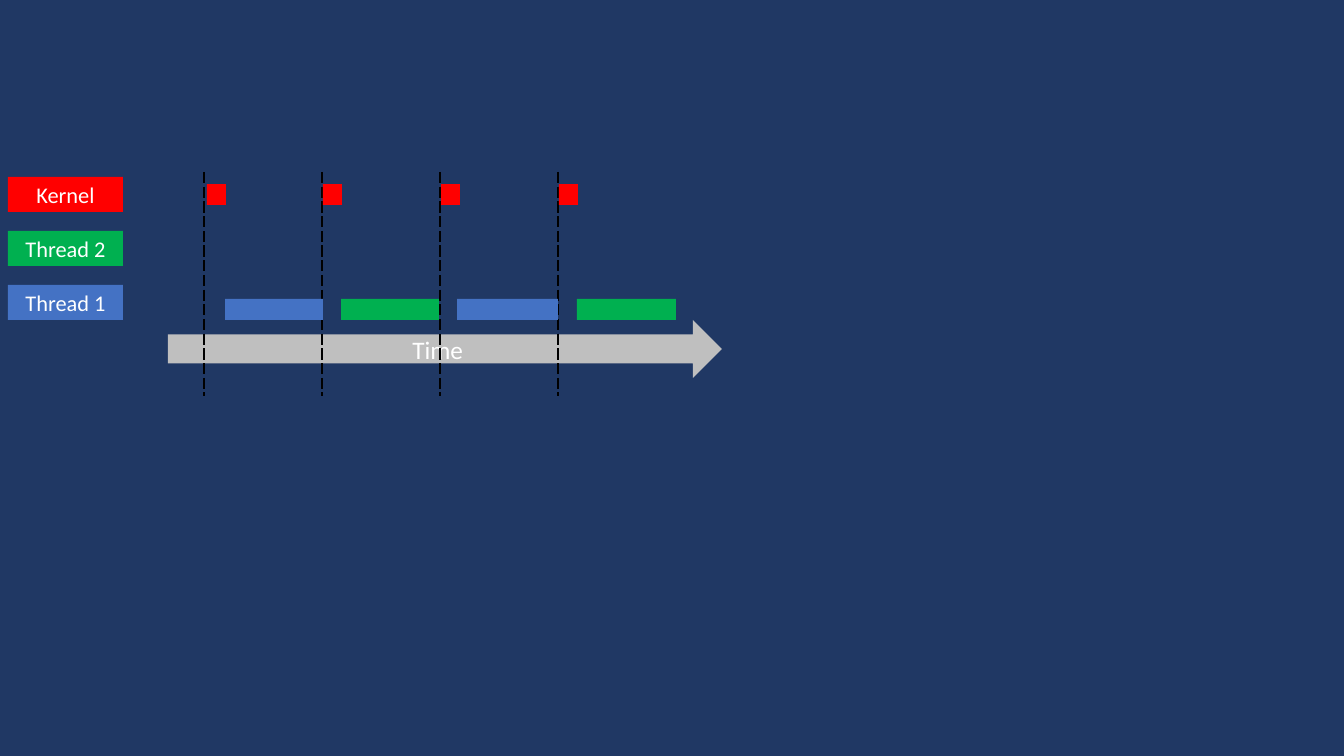
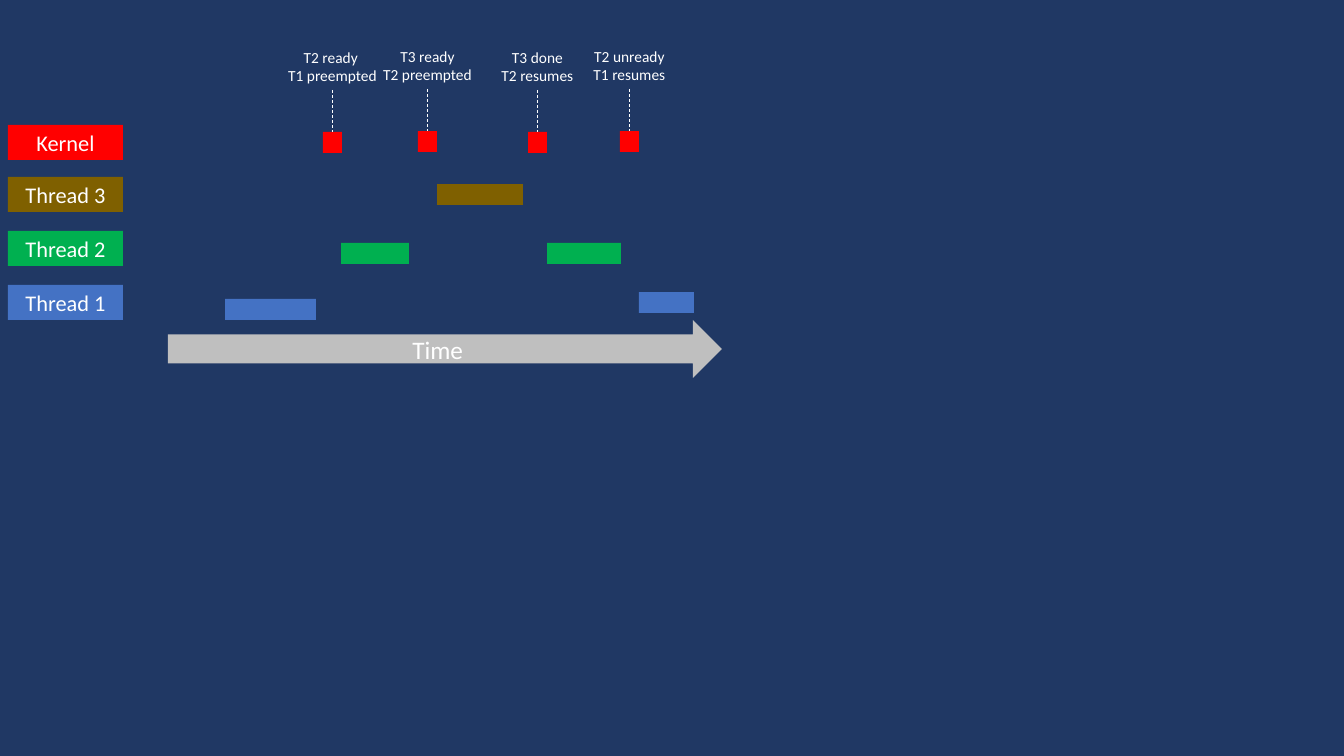
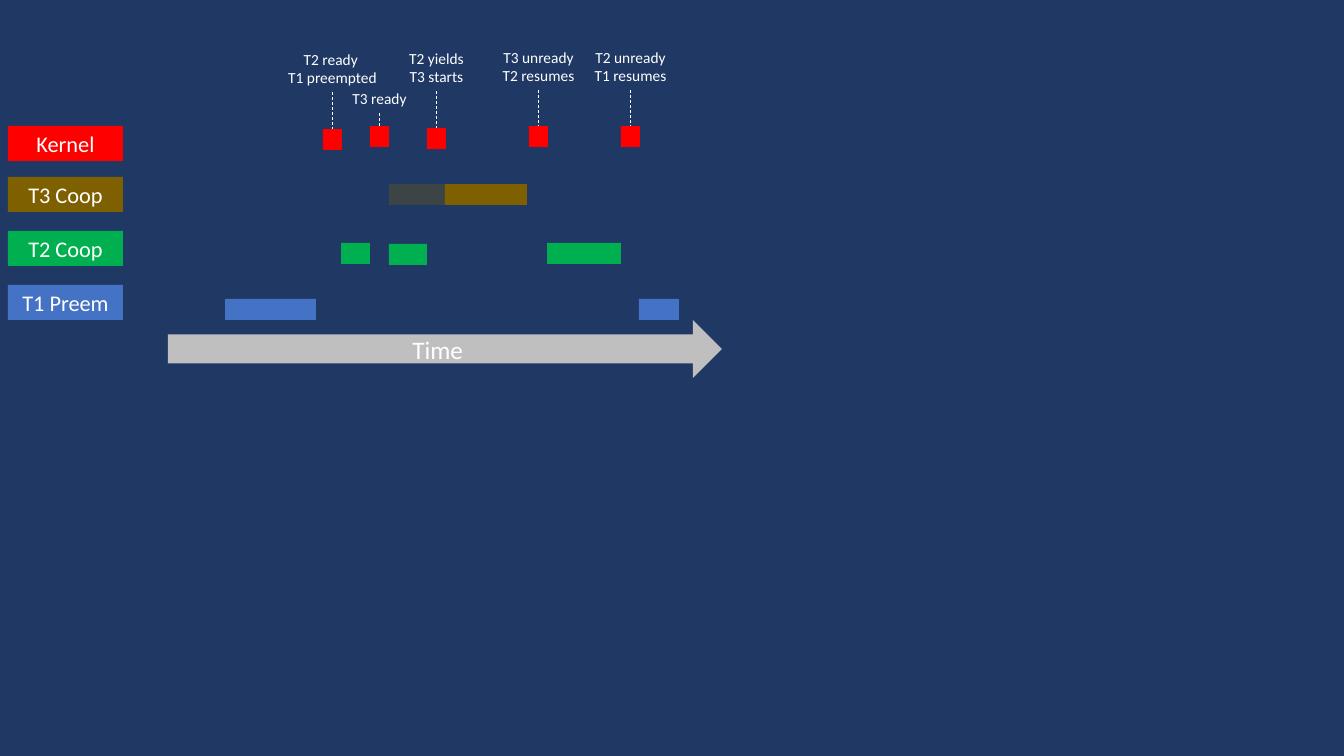
import pptx
import pptx.util
import pptx.dml.color
import pptx.enum.dml
import pptx.enum.shapes
import pptx.enum.text
import pptx.oxml
import pptx.oxml.ns
import lxml.etree

PX = 914400 / 100.8
FONT = "Calibri"
NAVY, WHITE, BLACK, GREY = "203864", "FFFFFF", "000000", "BFBFBF"
RED, BROWN, GREEN, BLUE = "FF0000", "7F6000", "00B050", "4472C4"
SHAPES = pptx.enum.shapes.MSO_SHAPE

LABEL_X, LABEL_W, LABEL_H = 8, 115, 35
LABEL_TOP, LABEL_PITCH = 177, 54
BAR_H, MARK_W = 21, 19
ROW_1 = 299  # top of the bars that stand on the time arrow
GRID_X, GRID_Y, GRID_COLS, GRID_ROWS = 204, 172, 3, 4
SLICE_W, GRID_ROW_H = 118, 56


def px(n):
    """Convert pixels to EMU."""
    return pptx.util.Emu(round(n * PX))


def rgb(color):
    """Turn a hex string into a colour."""
    return pptx.dml.color.RGBColor.from_string(color)


def add_text(shape, lines, size):
    """Write centred white lines into a shape."""
    tf = shape.text_frame
    tf.word_wrap = True
    tf.text = lines
    for p in tf.paragraphs:
        p.alignment = pptx.enum.text.PP_ALIGN.CENTER
        for r in p.runs:
            r.font.name, r.font.size = FONT, pptx.util.Pt(size)
            r.font.color.rgb = rgb(WHITE)


def add_block(s, x, y, w, h, color, kind=SHAPES.RECTANGLE):
    """Add a filled shape without outline or shadow."""
    sp = s.shapes.add_shape(kind, px(x), px(y), px(w), px(h))
    sp.shadow.inherit = False
    sp.fill.solid()
    sp.fill.fore_color.rgb = rgb(color)
    sp.line.fill.background()
    return sp


def add_bar(s, x, y, w, color):
    """Add the bar of a running thread."""
    return add_block(s, x, y, w, BAR_H, color)


def add_mark(s, x, y):
    """Add a kernel activity mark."""
    add_bar(s, x, y, MARK_W, RED)


def add_label(s, y, text, color):
    """Add a row label at the left edge."""
    add_text(add_block(s, LABEL_X, y, LABEL_W, LABEL_H, color), text, 16)


def add_labels(s, rows):
    """Add evenly spaced labels from top to bottom."""
    for i, (text, color) in enumerate(rows):
        add_label(s, LABEL_TOP + i * LABEL_PITCH, text, color)


def add_event(s, x, y, text, top, width=119):
    """Add a kernel mark with its caption and a dashed tick."""
    add_mark(s, x, y)
    center = x + MARK_W / 2
    height = 11 + 18 * len(text.split("\n"))
    tb = s.shapes.add_textbox(px(center - width / 2), px(top), px(width), px(height))
    add_text(tb, text, 11)
    tb.text_frame.auto_size = pptx.enum.text.MSO_AUTO_SIZE.SHAPE_TO_FIT_TEXT
    tick = s.shapes.add_connector(pptx.enum.shapes.MSO_CONNECTOR.STRAIGHT,
                                  px(center), px(top + height), px(center), px(y))
    tick.line.color.rgb = rgb(WHITE)
    tick.line.width = pptx.util.Pt(0.5)
    tick.line.dash_style = pptx.enum.dml.MSO_LINE.DASH
    lxml.etree.SubElement(tick._element.spPr, pptx.oxml.ns.qn("a:effectLst"))


def set_borders(cell, dashed_sides):
    """Give a cell dashed lines on the named sides and none elsewhere."""
    dashed = (f'<a:solidFill><a:srgbClr val="{BLACK}"/></a:solidFill>'
              '<a:prstDash val="dash"/>')
    tc_pr = cell._tc.get_or_add_tcPr()
    for i, side in enumerate("LRTB"):
        body = dashed if side in dashed_sides else "<a:noFill/>"
        tc_pr.insert(i, pptx.oxml.parse_xml(
            f'<a:ln{side} {pptx.oxml.ns.nsdecls("a")} w="25400">{body}</a:ln{side}>'))


def add_time_grid(s, dashed_sides):
    """Add the table of time slices."""
    table = s.shapes.add_table(GRID_ROWS, GRID_COLS, px(GRID_X), px(GRID_Y),
                               px(GRID_COLS * SLICE_W),
                               px(GRID_ROWS * GRID_ROW_H)).table
    table.first_row = table.horz_banding = False
    for column in table.columns:
        column.width = px(SLICE_W)
    for row in table.rows:
        row.height = px(GRID_ROW_H)
    for cell in table.iter_cells():
        cell.fill.background()
        set_borders(cell, dashed_sides)


def add_timeline_slide(prs, dashed_sides=""):
    """Add a slide with the time arrow and the grid of time slices."""
    s = prs.slides.add_slide(prs.slide_layouts[6])
    arrow = add_block(s, 168, 320, 554, 58, GREY, SHAPES.RIGHT_ARROW)
    add_text(arrow, "Time", 18)
    add_time_grid(s, dashed_sides)
    return s


def time_slicing(prs):
    """Two threads share the processor in equal slices."""
    s = add_timeline_slide(prs, "LR")
    for x in (207, 323, 441, 559):
        add_mark(s, x, 184)
    for x, w, color in ((225, 98, BLUE), (341, 98, GREEN),
                        (457, 101, BLUE), (577, 99, GREEN)):
        add_bar(s, x, ROW_1, w, color)
    add_labels(s, (("Kernel", RED), ("Thread 2", GREEN), ("Thread 1", BLUE)))


def preemption(prs):
    """Higher-priority threads preempt lower ones."""
    s = add_timeline_slide(prs)
    add_label(s, 125, "Kernel", RED)
    add_labels(s, (("Thread 3", BROWN), ("Thread 2", GREEN), ("Thread 1", BLUE)))
    for x, y, w, color in ((225, ROW_1, 91, BLUE), (341, 243, 68, GREEN),
                           (437, 184, 86, BROWN), (547, 243, 74, GREEN),
                           (639, 292, 55, BLUE)):
        add_bar(s, x, y, w, color)
    add_event(s, 323, 132, "T2 ready \nT1 preempted", 43)
    add_event(s, 418, 131, "T3 ready\nT2 preempted", 42)
    add_event(s, 528, 132, "T3 done\nT2 resumes", 43, 97)
    add_event(s, 620, 131, "T2 unready\nT1 resumes", 42, 97)


def cooperation(prs):
    """Cooperative threads run until they yield."""
    s = add_timeline_slide(prs)
    add_label(s, 126, "Kernel", RED)
    add_labels(s, (("T3 Coop", BROWN), ("T2 Coop", GREEN), ("T1 Preem", BLUE)))
    for x, y, w, color in ((225, ROW_1, 91, BLUE), (341, 243, 29, GREEN),
                           (389, 244, 38, GREEN), (445, 184, 82, BROWN),
                           (547, 243, 74, GREEN), (639, ROW_1, 40, BLUE)):
        add_bar(s, x, y, w, color)
    waiting = add_bar(s, 389, 184, 56, BROWN)
    clr = waiting._element.spPr.find(".//" + pptx.oxml.ns.qn("a:srgbClr"))
    lxml.etree.SubElement(clr, pptx.oxml.ns.qn("a:alpha"), val="30000")
    add_event(s, 323, 129, "T2 ready \nT1 preempted", 45)
    add_event(s, 370, 126, "T3 ready", 84)
    add_event(s, 427, 128, "T2 yields\nT3 starts", 44)
    add_event(s, 529, 126, "T3 unready\nT2 resumes", 43)
    add_event(s, 621, 126, "T2 unready\nT1 resumes", 43)


def main():
    """Build the deck."""
    prs = pptx.Presentation()
    prs.slide_width, prs.slide_height = px(1344), px(756)
    fill = prs.slide_master.background.fill
    fill.solid()
    fill.fore_color.rgb = rgb(NAVY)
    time_slicing(prs)
    preemption(prs)
    cooperation(prs)
    prs.save("out.pptx")


main()
